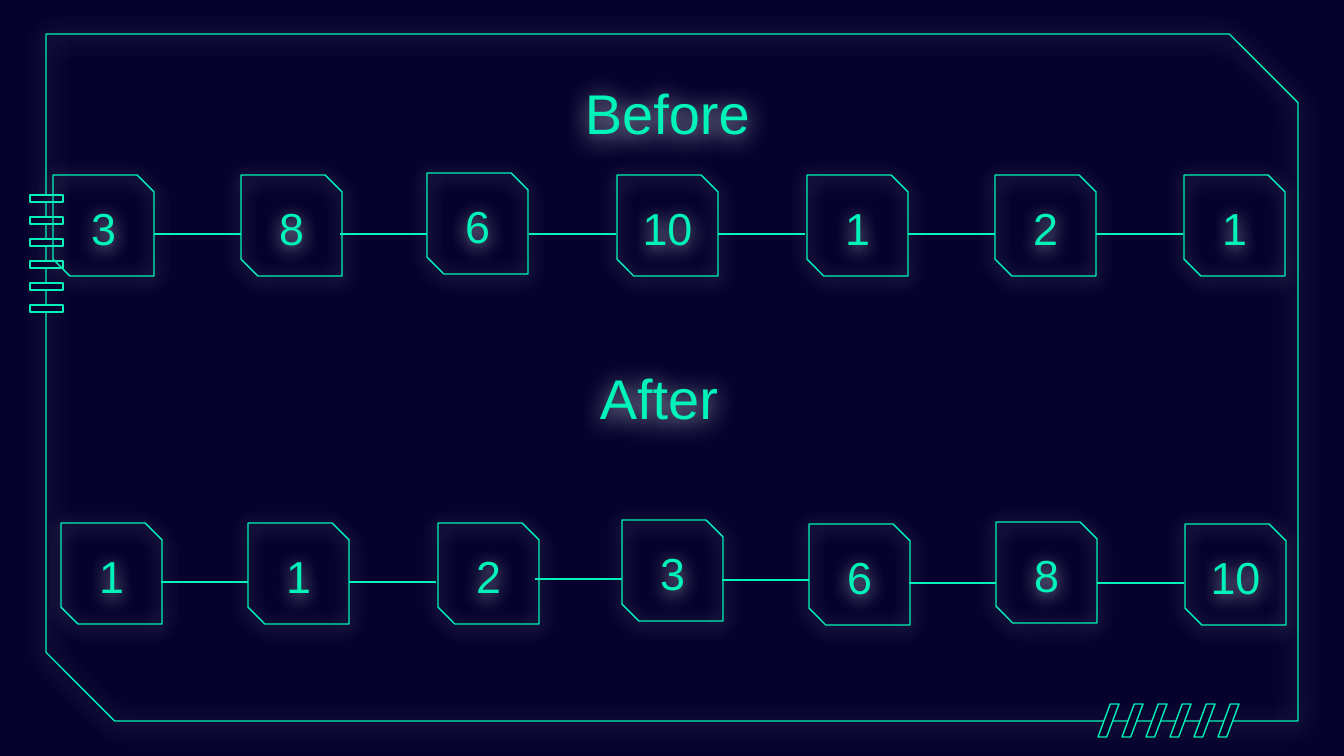
"""Build a slide showing seven linked numbers before and after sorting."""
from lxml import etree
from pptx import Presentation
from pptx.dml.color import RGBColor
from pptx.enum.shapes import MSO_CONNECTOR, MSO_SHAPE
from pptx.enum.text import MSO_ANCHOR, PP_ALIGN
from pptx.oxml.ns import qn
from pptx.util import Pt

PX = 6804
NAVY = RGBColor(0x05, 0x02, 0x2D)
MINT = RGBColor(0x00, 0xF3, 0xB8)
SNIPPED = MSO_SHAPE.SNIP_2_DIAG_RECTANGLE
RECTANGLE = MSO_SHAPE.RECTANGLE
SLANT = MSO_SHAPE.PARALLELOGRAM
STRAIGHT = MSO_CONNECTOR.STRAIGHT
BOTTOM = MSO_ANCHOR.BOTTOM
LEFT, CENTER = PP_ALIGN.LEFT, PP_ALIGN.CENTER
BOX = 101
LINK = 87


def write_text(shape, text, *, size, align):
    frame = shape.text_frame
    frame.word_wrap = True
    frame.vertical_anchor = BOTTOM
    frame.margin_left = frame.margin_right = 13 * PX
    frame.margin_top = frame.margin_bottom = 13 * PX
    para = frame.paragraphs[0]
    para.alignment = align
    span = para.add_run()
    span.text = text
    span.font.name = "Arial"
    span.font.size = Pt(size)
    span.font.color.rgb = MINT


def add_glow(shape, blur):
    effects = etree.SubElement(shape._element.spPr, qn("a:effectLst"))
    shadow = etree.SubElement(
        effects, qn("a:outerShdw"), blurRad=str(Pt(blur)), dist=str(Pt(1.5)),
        dir="5400000", algn="bl", rotWithShape="0")
    color = etree.SubElement(shadow, qn("a:srgbClr"), val="FFFFFF")
    etree.SubElement(color, qn("a:alpha"), val="70000")


deck = Presentation()
deck.slide_width = 1344 * PX
deck.slide_height = 756 * PX
page = deck.slides.add_slide(deck.slide_layouts[6])
page.background.fill.solid()
page.background.fill.fore_color.rgb = NAVY
shapes = page.shapes

border = shapes.add_shape(SNIPPED, 46 * PX, 34 * PX, 1252 * PX, 687 * PX)
border.adjustments[0] = 0
border.adjustments[1] = 0.1
border.fill.background()
border.line.color.rgb = MINT
border.line.width = Pt(0.75)
add_glow(border, 13.5)

for index in range(6):
    rung = shapes.add_shape(RECTANGLE, 30 * PX, (195 + 22 * index) * PX, 33 * PX, 7 * PX)
    slash = shapes.add_shape(SLANT, (1098 + 24 * index) * PX, 704 * PX, 21 * PX, 33 * PX)
    slash.adjustments[0] = 0.585
    for mark in (rung, slash):
        mark.shadow.inherit = False
        mark.fill.solid()
        mark.fill.fore_color.rgb = NAVY
        mark.line.color.rgb = MINT
        mark.line.width = Pt(0.75)

numbers = [
    ("3", 53, 175), ("8", 241, 175), ("6", 427, 173), ("10", 617, 175),
    ("1", 807, 175), ("2", 995, 175), ("1", 1184, 175),
    ("1", 61, 523), ("1", 248, 523), ("2", 438, 523), ("3", 622, 520),
    ("6", 809, 524), ("8", 996, 522), ("10", 1185, 524),
]
for number, left, top in numbers:
    box = shapes.add_shape(SNIPPED, left * PX, top * PX, BOX * PX, BOX * PX)
    box.adjustments[0] = 0
    box.adjustments[1] = 0.167
    box.fill.background()
    box.line.color.rgb = MINT
    box.line.width = Pt(0.75)
    add_glow(box, 10.1)
    write_text(box, number, size=24, align=CENTER)

links = [
    (241, 234), (427, 234), (616, 234), (805, 234), (995, 234), (1183, 234),
    (248, 582), (436, 582), (622, 579), (809, 580), (996, 583), (1184, 583),
]
for right, y in links:
    link = shapes.add_connector(STRAIGHT, right * PX, y * PX, (right - LINK) * PX, y * PX)
    link.line.color.rgb = MINT
    link.line.width = Pt(0.75)
    etree.SubElement(link._element.spPr, qn("a:effectLst"))

for heading, left, top in [("Before", 572, 65), ("After", 587, 350)]:
    title = shapes.add_textbox(left * PX, top * PX, 642 * PX, 94 * PX)
    add_glow(title, 13.5)
    write_text(title, heading, size=30, align=LEFT)

deck.save("out.pptx")
